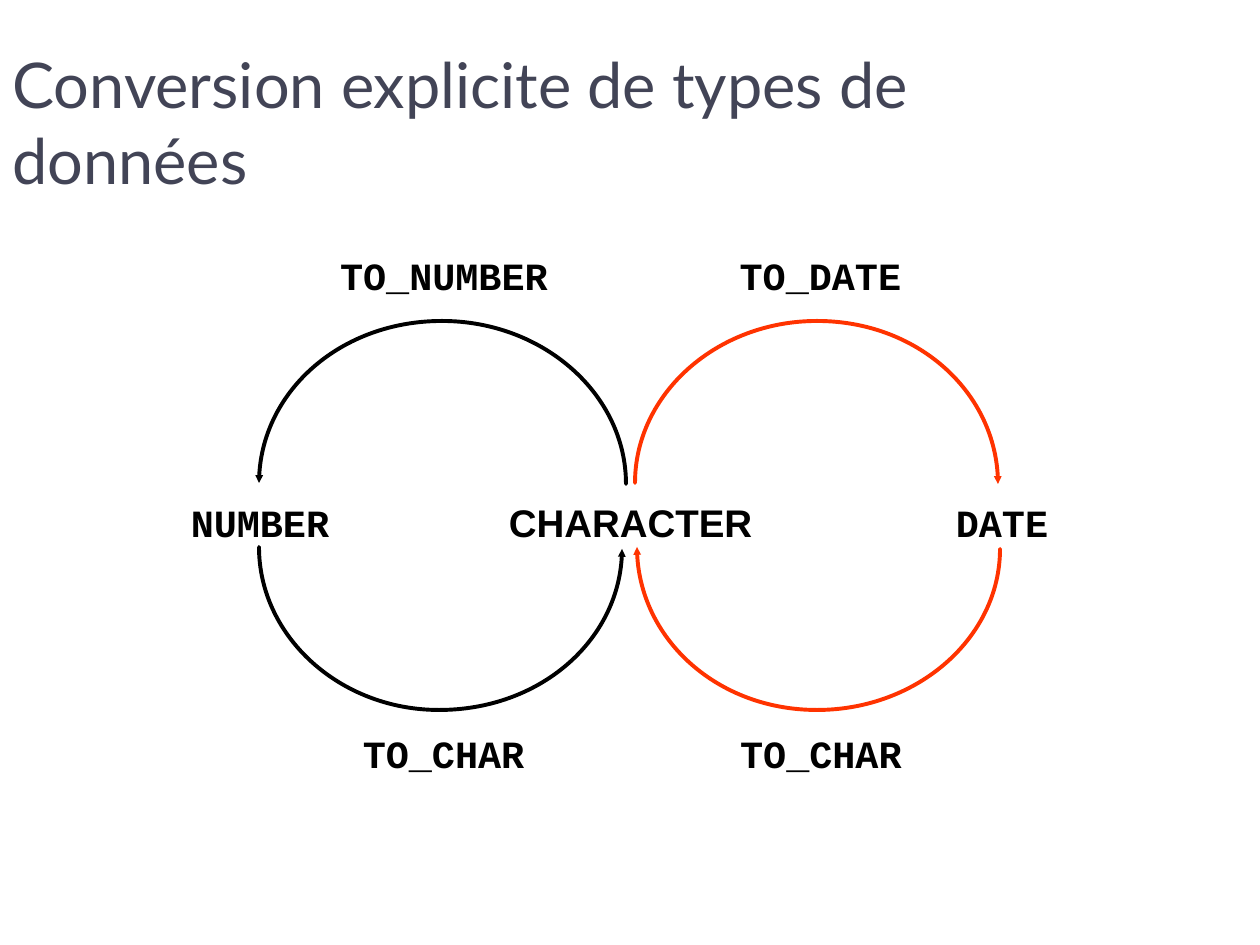
from lxml import etree
from pptx import Presentation, util as u
from pptx.dml.color import RGBColor
from pptx.enum import text
from pptx.oxml.ns import qn

PX = 914400 / 126
BLACK, RED = "000000", "FF3300"
BEND = 0.55  # handle length of a quarter ellipse


def px(n):
    return u.Emu(round(n * PX))


def write(words, x, y, w, h, size=22, font="Courier New", color=BLACK,
          bold=True, align=text.PP_ALIGN.CENTER, anchor=text.MSO_ANCHOR.TOP,
          wrap=False):
    box = slide.shapes.add_textbox(px(x), px(y), px(w), px(h))
    frame = box.text_frame
    frame.word_wrap = wrap
    frame.vertical_anchor = anchor
    par = frame.paragraphs[0]
    par.alignment = align
    run = par.add_run()
    run.text = words
    run.font.size = u.Pt(size)
    run.font.name = font
    run.font.bold = bold
    run.font.color.rgb = RGBColor.from_string(color)


prs = Presentation()
prs.slide_width, prs.slide_height = px(1260), px(945)
slide = prs.slides.add_slide(prs.slide_layouts[6])

write("Conversion explicite de types de données", 0, 61, 1091, 121,
      size=36, font="Lato", color="424456", bold=False,
      align=text.PP_ALIGN.LEFT, anchor=text.MSO_ANCHOR.MIDDLE, wrap=True)

# Data types on the middle row, functions above and below
high, mid, low = 246, 493, 724
labels = [
    ("NUMBER", 173, mid, 174, "Courier New"),
    ("CHARACTER", 451, mid, 359, "Arial"),
    ("DATE", 937, mid, 130, "Courier New"),
    ("TO_NUMBER", 305, high, 278, "Courier New"),
    ("TO_DATE", 712, high, 217, "Courier New"),
    ("TO_CHAR", 334, low, 219, "Courier New"),
    ("TO_CHAR", 725, low, 192, "Courier New"),
]
for words, x, y, w, font in labels:
    write(words, x, y, w, 59, font=font)

# Quarter arcs run from the crown (x) to the side, where an arrow may sit:
# crown x, signed width, centre y, signed height, colour, arrow
up, down = (484, -163), (547, 163)
arcs = [
    (439, 183, 549, 161, BLACK, True),
    (439, -180, *down, BLACK, False),
    (817, 183, 549, 161, RED, False),
    (817, -180, *down, RED, True),
    (817, 181, *up, RED, True),
    (817, -182, 483, -162, RED, False),
    (442, 184, *up, BLACK, False),
    (442, -183, 483, -162, BLACK, True),
]
for x, w, y, h, color, arrow in arcs:
    dots = [(px(x + w * a), px(y + h * b))
            for a, b in ((0, 1), (BEND, 1), (1, BEND), (1, 0))]
    pen = slide.shapes.build_freeform(*dots[0])
    pen.add_line_segments(dots[1:], close=False)
    arc = pen.convert_to_shape()
    # Turn the three straight segments into one curve
    route = next(arc.element.iter(qn("a:path")))
    curve = etree.SubElement(route, qn("a:cubicBezTo"))
    for leg in route.findall(qn("a:lnTo")):
        curve.append(leg[0])
        route.remove(leg)
    arc.shadow.inherit = False
    arc.fill.background()
    arc.line.color.rgb = RGBColor.from_string(color)
    arc.line.width = u.Pt(2.25)
    line = arc.line._get_or_add_ln()
    line.set("cap", "rnd")
    if arrow:
        etree.SubElement(line, qn("a:tailEnd"), type="triangle",
                         w="sm", len="sm")

prs.save("out.pptx")
